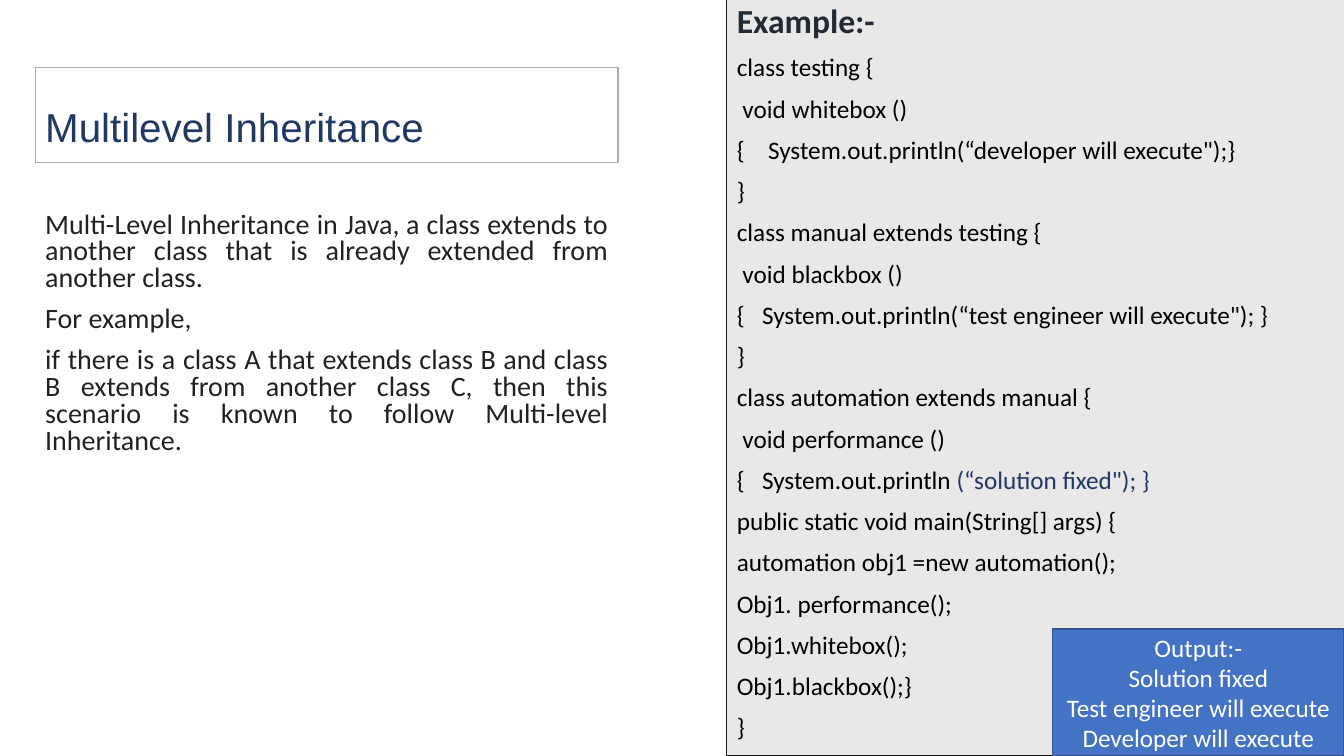
import pptx
import pptx.util
import pptx.dml.color
import pptx.enum.shapes
import pptx.enum.text
from lxml import etree
from pptx.util import Inches

COLORS = {
    "white": "FFFFFF",
    "title_line": "AFABAB",
    "navy": "203864",
    "code_fill": "E9E7E7",
    "code_line": "181717",
    "heading": "222A35",
    "code": "000000",
    "body": "202124",
    "output_fill": "4472C4",
    "output_line": "325491",
}

CODE_LINES = [
    "class testing {",
    " void whitebox ()",
    "{\tSystem.out.println(“developer will execute\");}",
    "}",
    "class manual extends testing {",
    " void blackbox ()",
    "{\tSystem.out.println(“test engineer will execute\"); }",
    "}",
    "class automation extends manual {",
    " void performance ()",
    "{\tSystem.out.println (“solution fixed\"); }",
    "public static void main(String[] args) {",
    "automation obj1 =new automation();",
    "Obj1. performance();",
    "Obj1.whitebox();",
    "Obj1.blackbox();}",
    "}",
]
HIGHLIGHT = "(“solution fixed\"); }"

EXPLANATION = [
    "Multi-Level Inheritance in Java,\u00a0a class extends to another class "
    "that is already extended from another class.",
    "For example,",
    "if there is a class A that extends class B and class B extends from "
    "another class C, then this scenario is known to follow Multi-level Inheritance.",
]

OUTPUT_LINES = [
    "Output:-",
    "Solution fixed",
    "Test engineer will execute",
    "Developer will execute",
]


def rgb(name):
    return pptx.dml.color.RGBColor.from_string(COLORS[name])


def add_panel(slide, place, fill, line, width, anchor):
    panel = slide.shapes.add_shape(
        pptx.enum.shapes.MSO_SHAPE.RECTANGLE, *map(Inches, place))
    panel.shadow.inherit = False
    panel.fill.solid()
    panel.fill.fore_color.rgb = rgb(fill)
    panel.line.color.rgb = rgb(line)
    panel.line.width = pptx.util.Pt(width)
    panel.text_frame.word_wrap = True
    panel.text_frame.vertical_anchor = anchor
    return panel


def style_span(span, size, color, font="Calibri", bold=False):
    span.font.name = font
    span.font.size = pptx.util.Pt(size)
    span.font.bold = bold
    span.font.color.rgb = rgb(color)


def write_lines(box, lines, size, color, align, spacing=1.0, before=0, font="Calibri"):
    frame = box.text_frame
    frame.text = "\n".join(lines)
    for para in frame.paragraphs:
        para.alignment = align
        para.line_spacing = spacing
        para.space_before = pptx.util.Pt(before)
        for span in para.runs:
            style_span(span, size, color, font)


def add_tab_stop(para, position):
    namespace = "{http://schemas.openxmlformats.org/drawingml/2006/main}"
    properties = para._p.get_or_add_pPr()
    stops = etree.SubElement(properties, namespace + "tabLst")
    etree.SubElement(stops, namespace + "tab", pos=str(Inches(position)), algn="l")


def add_title(slide, align, anchor):
    title = add_panel(slide, (0.35, 0.67, 5.78, 0.94), "white", "title_line", 0.75, anchor.BOTTOM)
    title.text_frame.margin_bottom = Inches(0.11)
    write_lines(title, ["Multilevel Inheritance"], 28.8, "navy", align.LEFT, 0.9, font="Arial")


def add_code(slide, align, anchor):
    code = add_panel(slide, (7.21, 0, 6.13, 7.5), "code_fill", "code_line", 0.75, anchor.TOP)
    write_lines(code, ["Example:-"] + CODE_LINES, 18, "code", align.LEFT, 0.9, 10)
    heading, *rows = code.text_frame.paragraphs
    style_span(heading.runs[0], 24, "heading", bold=True)
    for para in rows:
        if "\t" in para.text:
            add_tab_stop(para, 0.31 if "developer" in para.text else 0.25)
        if para.text.endswith(HIGHLIGHT):
            span = para.runs[0]
            span.text = span.text.removesuffix(HIGHLIGHT)
            accent = para.add_run()
            accent.text = HIGHLIGHT
            style_span(accent, 18, "navy")


def add_explanation(slide, align):
    box = slide.shapes.add_textbox(*map(Inches, (0.35, 2.06, 5.78, 2.76)))
    box.text_frame.word_wrap = True
    write_lines(box, EXPLANATION, 20, "body", align.JUSTIFY, 0.8, 10)


def add_output(slide, align, anchor):
    output = add_panel(slide, (10.44, 6.24, 2.89, 1.26), "output_fill", "output_line", 1, anchor.MIDDLE)
    write_lines(output, OUTPUT_LINES, 18, "white", align.CENTER)


def main():
    deck = pptx.Presentation()
    deck.slide_width = Inches(13.33)
    deck.slide_height = Inches(7.5)
    slide = deck.slides.add_slide(deck.slide_layouts[6])
    align = pptx.enum.text.PP_ALIGN
    anchor = pptx.enum.text.MSO_ANCHOR
    add_title(slide, align, anchor)
    add_code(slide, align, anchor)
    add_explanation(slide, align)
    add_output(slide, align, anchor)
    deck.save("out.pptx")


if __name__ == "__main__":
    main()
